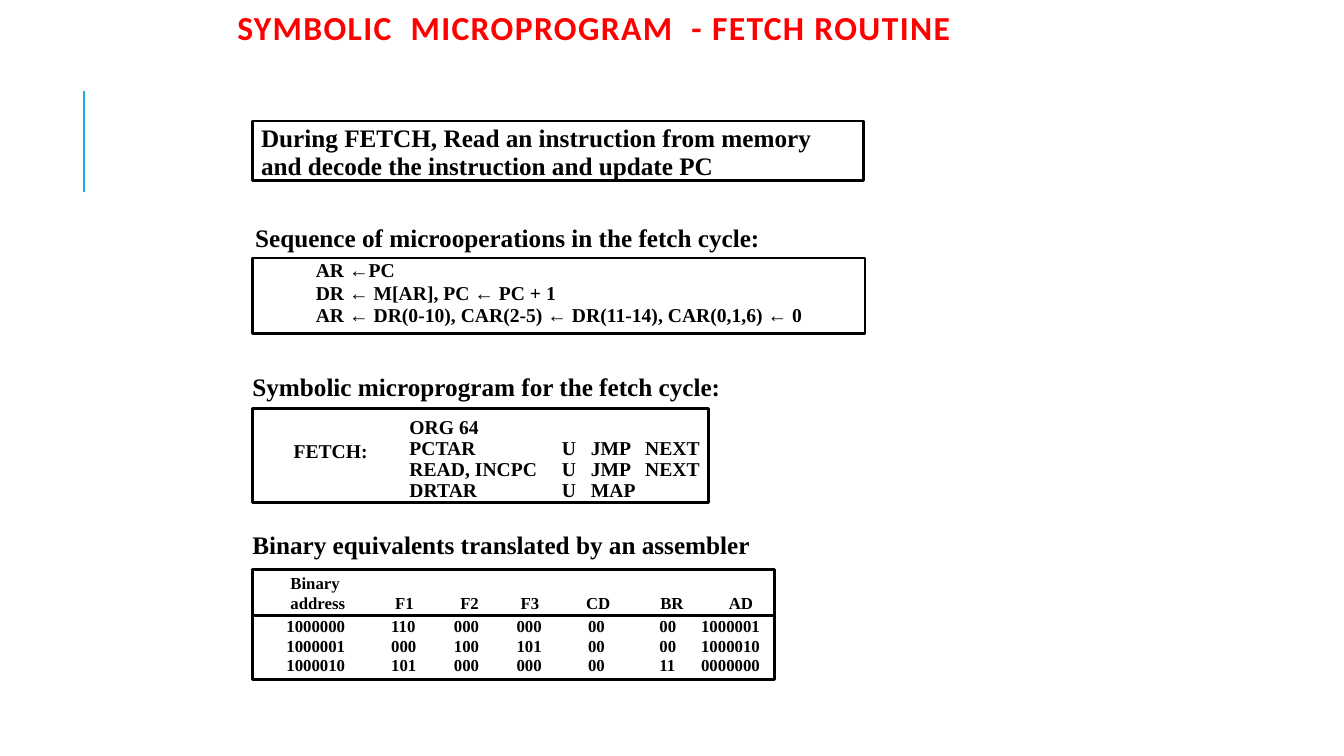
"""Build the slide on the symbolic microprogram of the fetch routine."""
from lxml import etree
from pptx import Presentation
from pptx.dml.color import RGBColor
from pptx.enum import shapes, text
from pptx.oxml.ns import qn
from pptx.util import Cm, Pt

BLACK = RGBColor(0x00, 0x00, 0x00)
RED = RGBColor(0xFF, 0x00, 0x00)
BLUE = RGBColor(0x1C, 0xAD, 0xE4)

prs = Presentation()
prs.slide_width, prs.slide_height = Cm(33.87), Cm(19.05)
s = prs.slides.add_slide(prs.slide_layouts[5])


def write(sp, lines, size, spacing, insets=(0.18, 0.08), font="Times New Roman",
          color=BLACK, tabs=()):
    tf = sp.text_frame
    tf.word_wrap = True
    tf.auto_size = text.MSO_AUTO_SIZE.NONE
    tf.vertical_anchor = text.MSO_ANCHOR.TOP
    tf.margin_left = tf.margin_right = Cm(insets[0])
    tf.margin_top = tf.margin_bottom = Cm(insets[1])
    for i, line in enumerate(lines):
        p = tf.paragraphs[0] if i == 0 else tf.add_paragraph()
        p.alignment = text.PP_ALIGN.LEFT
        p.line_spacing = spacing
        p.space_before = Pt(0)
        if tabs:
            tab_list = etree.SubElement(p._p.get_or_add_pPr(), qn("a:tabLst"))
            for stop in tabs:
                etree.SubElement(tab_list, qn("a:tab"), pos=str(Cm(stop)), algn="l")
        r = p.add_run()
        r.text = line
        r.font.name, r.font.size, r.font.bold = font, Pt(size), True
        r.font.color.rgb = color


def add_line(x1, y1, x2, y2, color, width):
    line = s.shapes.add_connector(shapes.MSO_CONNECTOR.STRAIGHT, Cm(x1), Cm(y1), Cm(x2), Cm(y2))
    line.line.color.rgb = color
    line.line.width = Pt(width)
    etree.SubElement(line._element.spPr, qn("a:effectLst"))


title = s.shapes.title
title.left, title.top, title.width, title.height = Cm(5.8), Cm(0.28), Cm(22.2), Cm(1.3)
write(title, ["SYMBOLIC  MICROPROGRAM  - FETCH ROUTINE"], 24, 0.8, font="Calibri", color=RED)
title.text_frame.paragraphs[0].runs[0].font._element.set("spc", "100")

add_line(2.12, 4.84, 2.12, 2.3, BLUE, 1.5)

frames = [(3.05, 15.4, 1.5), (6.5, 15.44, 1.9), (10.29, 11.5, 2.38), (14.36, 13.15, 2.77)]
for top, width, height in frames:
    frame = s.shapes.add_shape(shapes.MSO_SHAPE.RECTANGLE, Cm(6.36), Cm(top), Cm(width), Cm(height))
    frame.shadow.inherit = False
    frame.fill.background()
    frame.line.color.rgb = BLACK
    frame.line.width = Pt(2)
add_line(6.4, 15.5, 19.55, 15.5, BLACK, 2)

WIDE, NARROW = (0.25, 0.13), (0.18, 0.08)
blocks = [
    (6.33, 3.05, 15, 1.63, 18, 0.9, WIDE, (),
     ["During FETCH, Read an instruction from memory",
      "and decode the instruction and update PC"]),
    (6.18, 5.57, 14, 0.94, 18, 0.9, WIDE, (),
     ["Sequence of microoperations in the fetch cycle:"]),
    (7.78, 6.46, 13, 1.86, 14, 0.96, NARROW, (),
     ["AR ←PC",
      "DR ← M[AR], PC ← PC + 1",
      "AR ← DR(0-10), CAR(2-5) ← DR(11-14), CAR(0,1,6) ← 0"]),
    (6.18, 9.27, 13, 0.89, 18, 1.01, NARROW, (),
     ["Symbolic microprogram for the fetch cycle:"]),
    (7.22, 10.97, 2.4, 0.75, 14, 1.01, NARROW, (), ["FETCH:"]),
    (10.14, 10.44, 8.05, 2.28, 14, 0.9, NARROW, (3.84, 4.57, 5.94),
     ["ORG 64",
      "PCTAR\tU\tJMP\tNEXT",
      "READ, INCPC\tU\tJMP\tNEXT",
      "DRTAR\tU\tMAP"]),
    (6.18, 13.26, 13.5, 0.87, 18, 1.01, NARROW, (),
     ["Binary equivalents translated by an assembler"]),
    (7.14, 14.38, 12.4, 1.14, 12, 0.97, NARROW, (2.64, 4.28, 5.8, 7.45, 9.32, 11.05),
     ["Binary", "address\tF1\tF2\tF3\tCD\tBR\tAD"]),
    (7.04, 15.47, 12.6, 1.63, 12, 0.97, NARROW, (2.64, 4.22, 5.8, 7.6, 9.4, 10.45),
     ["1000000\t110\t000\t000\t00\t00\t1000001",
      "1000001\t000\t100\t101\t00\t00\t1000010",
      "1000010\t101\t000\t000\t00\t11\t0000000"]),
]
for left, top, width, height, size, spacing, insets, tabs, lines in blocks:
    box = s.shapes.add_textbox(Cm(left), Cm(top), Cm(width), Cm(height))
    write(box, lines, size, spacing, insets, tabs=tabs)

prs.save("out.pptx")
